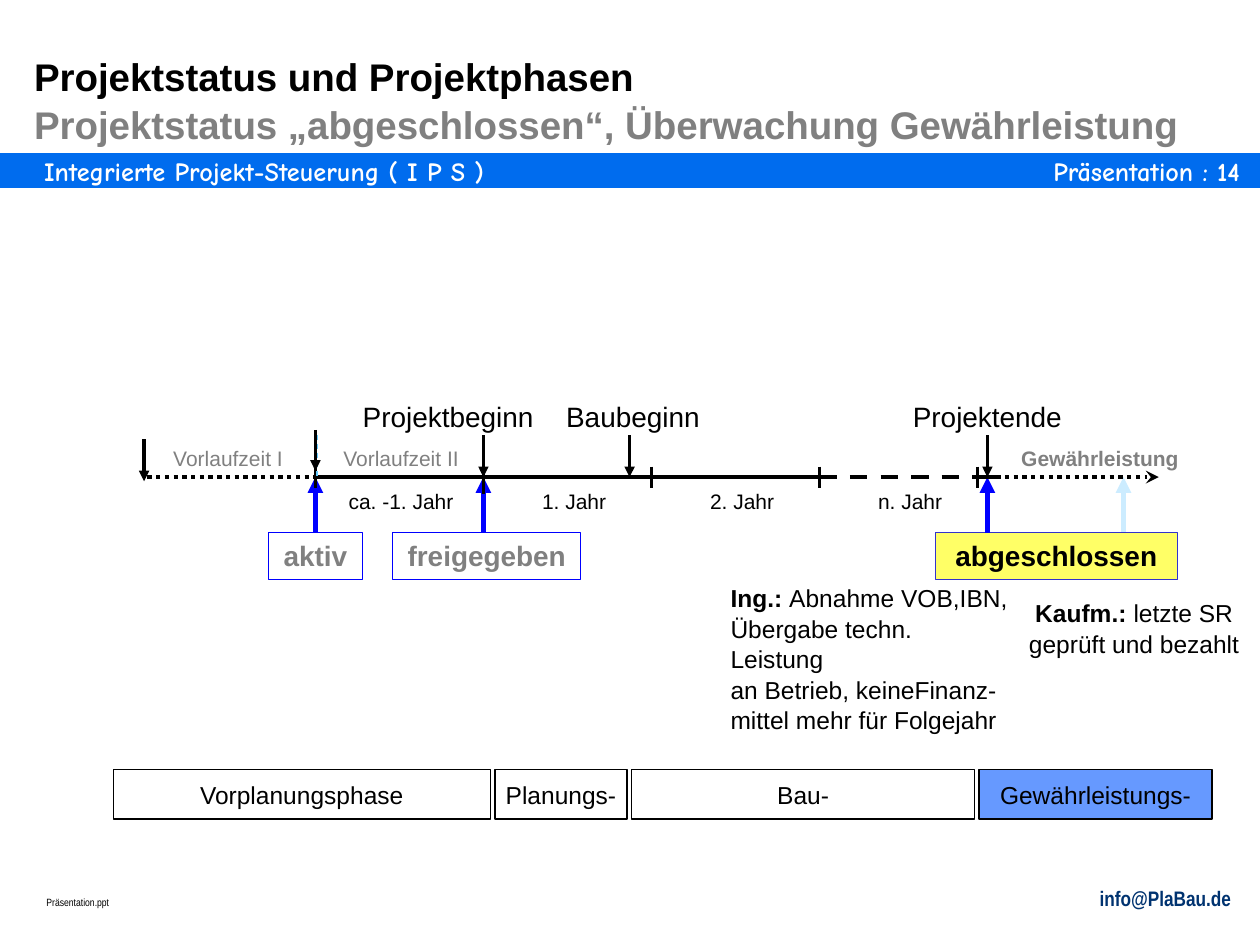
from dataclasses import dataclass

from lxml import etree
from pptx import Presentation
from pptx import util as u
from pptx.dml.color import RGBColor
from pptx.enum import dml, shapes, text
from pptx.oxml.ns import qn

LEFT, CENTER, RIGHT = text.PP_ALIGN.LEFT, text.PP_ALIGN.CENTER, text.PP_ALIGN.RIGHT
TOP, MIDDLE, BOTTOM = text.MSO_ANCHOR.TOP, text.MSO_ANCHOR.MIDDLE, text.MSO_ANCHOR.BOTTOM
DASH, DOTS = dml.MSO_LINE.DASH, dml.MSO_LINE.ROUND_DOT
BLACK, GRAY, WHITE, BLUE = "000000", "808080", "FFFFFF", "0000FF"
AXIS, STATUS_TOP = 8, 13.3


@dataclass
class Grid:
    left: float
    top: float
    width: float
    height: float
    columns: float = 1
    rows: float = 1

    def point(self, column, row):
        return (u.Inches(self.left + self.width * column / self.columns),
                u.Inches(self.top + self.height * row / self.rows))

    def area(self, column, row, columns, rows):
        left, top = self.point(column, row)
        right, bottom = self.point(column + columns, row + rows)
        return left, top, right - left, bottom - top


def color(value):
    return RGBColor.from_string(value)


def format_text(shape, paragraphs, size, align=LEFT, anchor=TOP, font="Arial",
                wrap=True, inset=(0.1, 0.05), spacing=1.0):
    frame = shape.text_frame
    frame.word_wrap = wrap
    frame.vertical_anchor = anchor
    frame.margin_left = frame.margin_right = u.Inches(inset[0])
    frame.margin_top = frame.margin_bottom = u.Inches(inset[1])
    for index, runs in enumerate(paragraphs):
        paragraph = frame.add_paragraph() if index else frame.paragraphs[0]
        paragraph.alignment = align
        paragraph.line_spacing = spacing
        for words, shade, bold in runs:
            run = paragraph.add_run()
            run.text = words
            run.font.name, run.font.size, run.font.bold = font, u.Pt(size), bold
            run.font.color.rgb = color(shade)


def add_text(slide, area, words, size, shade=BLACK, bold=False, **options):
    paragraphs = [[(words, shade, bold)]] if isinstance(words, str) else words
    shape = slide.shapes.add_textbox(*area)
    format_text(shape, paragraphs, size, **options)


def add_box(slide, area, line, fill=None, width=0.75):
    shape = slide.shapes.add_shape(shapes.MSO_SHAPE.RECTANGLE, *area)
    shape.shadow.inherit = False
    if fill:
        shape.fill.solid()
        shape.fill.fore_color.rgb = color(fill)
    else:
        shape.fill.background()
    shape.line.color.rgb = color(line)
    shape.line.width = u.Pt(width)
    return shape


def add_line(slide, start, end, shade=BLACK, width=2.5, dash=None, arrow=None):
    line = slide.shapes.add_connector(shapes.MSO_CONNECTOR.STRAIGHT, *start, *end)
    line.line.color.rgb = color(shade)
    line.line.width = u.Pt(width)
    if dash:
        line.line.dash_style = dash
    if arrow:
        etree.SubElement(line.line._get_or_add_ln(), qn("a:tailEnd"), type=arrow)
    etree.SubElement(line._element.spPr, qn("a:effectLst"))
    return line


def place_title(slide, grid):
    title = slide.shapes.title
    title.left, title.top, title.width, title.height = grid.area(0, 0, 1, 1)
    lines = [
        [("Projektstatus und Projektphasen", BLACK, True)],
        [("Projektstatus „abgeschlossen“, Überwachung Gewährleistung", GRAY, True)],
    ]
    format_text(title, lines, 22, anchor=BOTTOM, inset=(0, 0), spacing=1.04)


def place_banner(slide, grid):
    add_box(slide, grid.area(0, 0, 1, 1), "006CEE", "006CEE", 2)
    for column, columns, words, align in (
            (0.035, 0.6, "Integrierte Projekt-Steuerung ( I P S )", LEFT),
            (0.76, 0.224, "Präsentation : 14", RIGHT)):
        add_text(slide, grid.area(column, 0, columns, 1), words, 15, WHITE, True,
                 align=align, font="Comic Neue", inset=(0, 0))


def place_status(slide, grid):
    statuses = (
        (1, 1, 0.56, "aktiv", GRAY, BLUE, None),
        (2, 2.02, 1.12, "freigegeben", GRAY, BLUE, None),
        (5, 5.41, 1.44, "abgeschlossen", BLACK, "3333CC", "FFFF66"),
    )
    add_line(slide, grid.point(5.81, STATUS_TOP), grid.point(5.81, AXIS),
             "CCECFF", 3, arrow="triangle")
    for column, center, columns, words, shade, line, fill in statuses:
        area = grid.area(center - columns / 2, STATUS_TOP, columns, 4.44)
        box = add_box(slide, area, line, fill)
        format_text(box, [[(words, shade, True)]], 16, CENTER)
        arrow = add_line(slide, grid.point(column, STATUS_TOP), grid.point(column, AXIS),
                         BLUE, 3, arrow="triangle")
        if column == center:
            arrow.begin_connect(box, 0)


def place_axis(slide, grid):
    for start, end, dash, arrow in (
            (5, 6.02, DOTS, "stealth"), (1, 4, None, None), (4, 5, DASH, None),
            (0, 1, DOTS, None), (4.94, 5.06, None, None)):
        add_line(slide, grid.point(start, AXIS), grid.point(end, AXIS), dash=dash, arrow=arrow)
    for column in (1, 3, 4, 4.94):
        add_line(slide, grid.point(column, 7), grid.point(column, 9), width=1.5)
    add_line(slide, grid.point(2, 7.5), grid.point(2, 9.6), width=1.5)
    add_line(slide, grid.point(1.01, 4), grid.point(1.01, AXIS), "66CCFF", 0.75, DASH)
    for column, top, bottom in ((-0.02, 4.4, 8.4), (1, 3.5, 7.4), (2, 4, 8),
                                (2.87, 4, 8), (5, 4, 8)):
        add_line(slide, grid.point(column, top), grid.point(column, bottom),
                 width=2, arrow="triangle")


def place_timeline_labels(slide, grid):
    labels = (
        (0, 4.4, 16, BLACK, False,
         ((1.79, "Projektbeginn"), (2.89, "Baubeginn"), (5, "Projektende"))),
        (4.4, 3.6, 12, GRAY, False, ((0.48, "Vorlaufzeit I"), (1.51, "Vorlaufzeit II"))),
        (4.4, 3.6, 12, GRAY, True, ((5.67, "Gewährleistung"),)),
        (8.5, 3.6, 12, BLACK, False, ((1.51, "ca. -1. Jahr"), (2.54, "1. Jahr"),
                                      (3.54, "2. Jahr"), (4.54, "n. Jahr"))),
    )
    for row, rows, size, shade, bold, entries in labels:
        for center, words in entries:
            add_text(slide, grid.area(center - 0.7, row, 1.4, rows), words, size,
                     shade, bold, align=CENTER)


def place_conditions(slide, grid):
    engineering = [
        [("Ing.: ", BLACK, True), ("Abnahme VOB,IBN,", BLACK, False)],
        [("Übergabe techn. Leistung", BLACK, False)],
        [("an Betrieb, keineFinanz-", BLACK, False)],
        [("mittel mehr für Folgejahr", BLACK, False)],
    ]
    commercial = [
        [("Kaufm.: ", BLACK, True), ("letzte SR", BLACK, False)],
        [("geprüft und bezahlt", BLACK, False)],
    ]
    for column, columns, rows, lines, align in (
            (0, 0.57, 1, engineering, LEFT), (0.55, 0.45, 0.54, commercial, CENTER)):
        add_text(slide, grid.area(column, 0, columns, rows), lines, 14, align=align,
                 anchor=MIDDLE, wrap=False, spacing=1.04)


def place_phases(slide, grid):
    phases = (("Vorplanungsphase", 34.3, None), ("Planungs-", 12.04, None),
              ("Bau-", 31.2, None), ("Gewährleistungs-", 21.2, "6699FF"))
    gap = (grid.columns - sum(columns for _, columns, _ in phases)) / (len(phases) - 1)
    column = 0
    for words, columns, fill in phases:
        box = add_box(slide, grid.area(column, 0, columns, 1), BLACK, fill)
        format_text(box, [[(words, BLACK, False)]], 14, CENTER, MIDDLE, wrap=False)
        column += columns + gap


def place_footer(slide, grid):
    add_text(slide, grid.area(0, 0.27, 0.43, 0.67), "Präsentation.ppt", 6,
             font="Arial Narrow")
    add_text(slide, grid.area(0.57, 0, 0.43, 1), "info@PlaBau.de", 12, "003370", True,
             align=RIGHT, font="Arial Narrow")


def main():
    presentation = Presentation()
    presentation.slide_width, presentation.slide_height = u.Inches(10), u.Inches(7.5)
    slide = presentation.slides.add_slide(presentation.slide_layouts[5])
    timeline = Grid(1.17, 3.12, 8, 1.5, columns=6, rows=18)
    place_banner(slide, Grid(0, 1.23, 10, 0.25))
    place_footer(slide, Grid(0.27, 6.98, 9.6, 0.3))
    place_status(slide, timeline)
    place_axis(slide, timeline)
    place_timeline_labels(slide, timeline)
    place_conditions(slide, Grid(5.7, 4.7, 4.26, 1.05))
    place_title(slide, Grid(0.27, 0.36, 9.53, 0.81))
    place_phases(slide, Grid(0.9, 6.11, 8.72, 0.39, columns=100))
    presentation.save("out.pptx")


if __name__ == "__main__":
    main()
